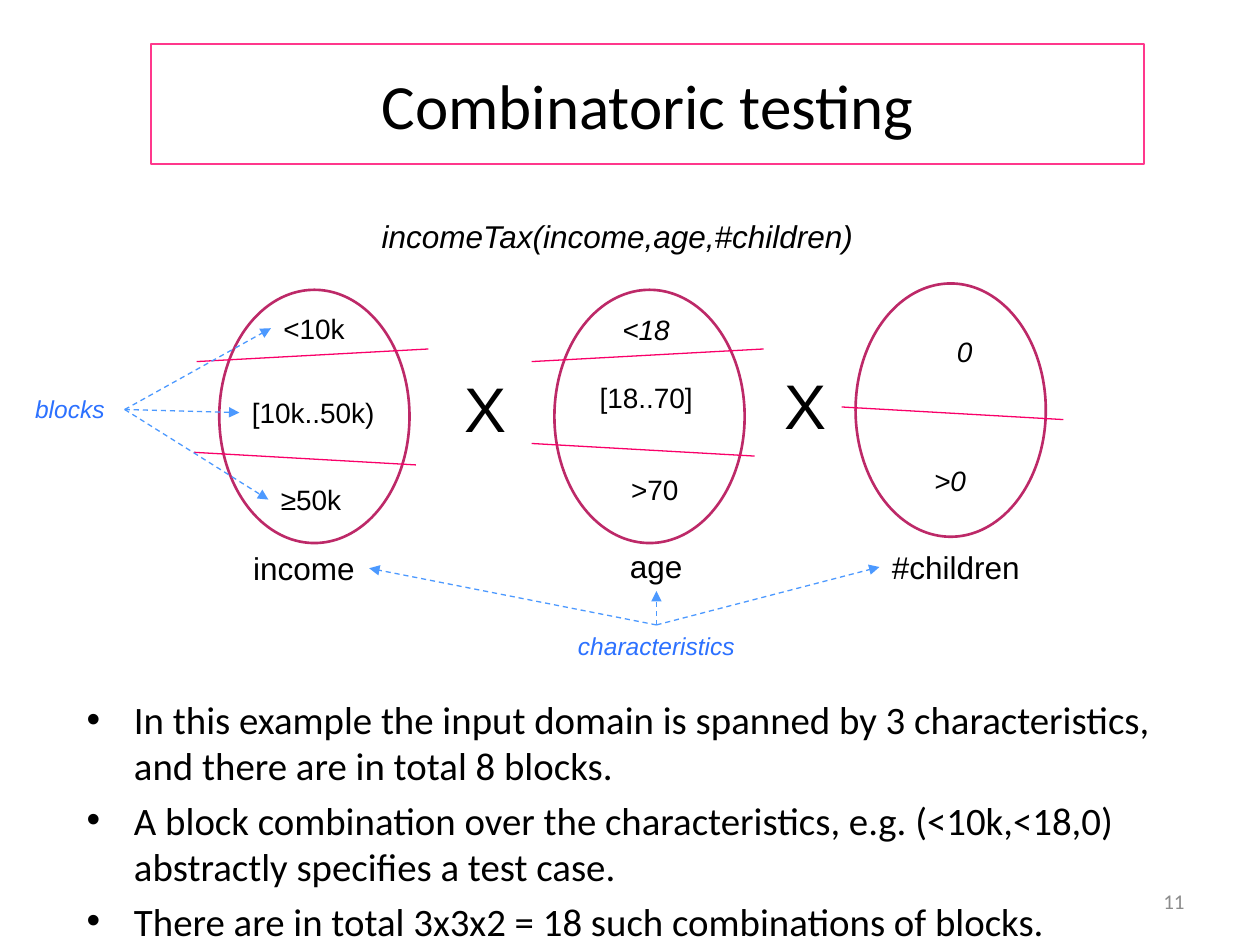
from collections import namedtuple
from dataclasses import dataclass

from lxml.etree import SubElement
from pptx import Presentation
from pptx.dml.color import RGBColor
from pptx.enum.dml import MSO_LINE
from pptx.enum.shapes import MSO_CONNECTOR, MSO_SHAPE
from pptx.enum.text import MSO_ANCHOR, MSO_AUTO_SIZE, PP_ALIGN
from pptx.oxml.ns import qn
from pptx.util import Pt

Box = namedtuple("Box", "left top width height")
Block = namedtuple("Block", "text left top width italic centred", defaults=(False, False))
Characteristic = namedtuple("Characteristic", "name box name_box cuts blocks")

TOP, LEFT, BOTTOM, RIGHT = range(4)


@dataclass(frozen=True)
class Theme:
    sans: str = "Arial"
    body: str = "Calibri"
    ink: str = "000000"
    muted: str = "8C8C8C"
    frame: str = "FF388C"
    oval: str = "BD2968"
    cut: str = "F90069"
    note: str = "2C71FF"
    arrow: str = "4C99FF"
    title_size: float = 36
    bullet_size: float = 22.2
    name_size: float = 18
    block_size: float = 16
    note_size: float = 14
    number_size: float = 12


THEME = Theme()

OVAL_SIZE = (108.72, 144.72)
FIRST_CUT = (-12.96, 41.04, 119.52, 33.84)
CHARACTERISTICS = [
    Characteristic(
        "income", Box(125.28, 165.6, *OVAL_SIZE), Box(12.24, 144.72, 73.44, 28.8),
        [FIRST_CUT, (-14.4, 92.88, 112.32, 100.08)],
        [Block("<10k", 29.52, 8.64, 49.68),
         Block("[10k..50k)", 11.52, 56.88, 85.68),
         Block("≥50k", 28.08, 106.56, 49.68)]),
    Characteristic(
        "age", Box(316.8, 165.6, *OVAL_SIZE), Box(36, 143.28, 44.64, 28.8),
        [FIRST_CUT, (-12.96, 87.84, 114.48, 95.04)],
        [Block("<18", 31.68, 9.36, 41.76, italic=True),
         Block("[18..70]", 18.72, 48.24, 68.4),
         Block(">70", 36.72, 100.8, 41.76)]),
    Characteristic(
        "#children", Box(488.88, 162, *OVAL_SIZE), Box(13.68, 147.6, 88.56, 28.8),
        [(-7.92, 70.56, 118.8, 77.76)],
        [Block("0", 45.36, 25.92, 33.84, italic=True, centred=True),
         Block(">0", 2.88, 99.36, 102.24, italic=True, centred=True)]),
]
BULLETS = [
    "In this example the input domain is spanned by 3 characteristics, and there are in total 8 blocks.",
    "A block combination over the characteristics, e.g. (<10k,<18,0) abstractly specifies a test case.",
    "There are in total 3x3x2 = 18 such combinations of blocks.",
]


def points(values):
    return [Pt(value) for value in values]


def add_span(para, text, size, font=THEME.sans, color=THEME.ink, italic=False):
    span = para.add_run()
    span.text = text
    span.font.name = font
    span.font.size = Pt(size)
    span.font.italic = italic
    span.font.color.rgb = RGBColor.from_string(color)


def add_label(page, box, text, size, color=THEME.ink, italic=False, centred=False):
    label = page.shapes.add_textbox(*points(box))
    frame = label.text_frame
    frame.word_wrap = centred
    frame.auto_size = MSO_AUTO_SIZE.SHAPE_TO_FIT_TEXT
    para = frame.paragraphs[0]
    para.alignment = PP_ALIGN.CENTER if centred else PP_ALIGN.LEFT
    add_span(para, text, size, color=color, italic=italic)
    return label


def add_line(page, ends, color):
    line = page.shapes.add_connector(MSO_CONNECTOR.STRAIGHT, *points(ends))
    line.line.color.rgb = RGBColor.from_string(color)
    line.line.width = Pt(0.75)
    SubElement(line._element.spPr, qn("a:effectLst"))
    return line


def add_arrow(page, source, source_side, target, target_side):
    arrow = add_line(page, (0, 0, 0, 0), THEME.arrow)
    arrow.begin_connect(source, source_side)
    arrow.end_connect(target, target_side)
    arrow.line.dash_style = MSO_LINE.DASH
    SubElement(arrow.line._get_or_add_ln(), qn("a:tailEnd"), type="triangle")


def add_title(page, box, text):
    title = page.shapes.title
    title.left, title.top, title.width, title.height = points(box)
    title.line.color.rgb = RGBColor.from_string(THEME.frame)
    title.line.width = Pt(1)
    title.text_frame.vertical_anchor = MSO_ANCHOR.MIDDLE
    para = title.text_frame.paragraphs[0]
    para.alignment = PP_ALIGN.CENTER
    add_span(para, text, THEME.title_size, THEME.body)


def add_characteristic(page, item):
    left, top = item.box.left, item.box.top
    oval = page.shapes.add_shape(MSO_SHAPE.OVAL, *points(item.box))
    oval.shadow.inherit = False
    oval.fill.background()
    oval.line.color.rgb = RGBColor.from_string(THEME.oval)
    oval.line.width = Pt(1.5)
    for x1, y1, x2, y2 in item.cuts:
        add_line(page, (left + x1, top + y1, left + x2, top + y2), THEME.cut)
    block_labels = [
        add_label(page, Box(left + block.left, top + block.top, block.width, 26.64),
                  block.text, THEME.block_size,
                  italic=block.italic, centred=block.centred)
        for block in item.blocks
    ]
    name_box = item.name_box._replace(left=left + item.name_box.left,
                                      top=top + item.name_box.top)
    return add_label(page, name_box, item.name, THEME.name_size), block_labels


def add_callout(page, box, text, source_side, targets):
    note = add_label(page, box, text, THEME.note_size, THEME.note, italic=True, centred=True)
    for target, target_side in targets:
        add_arrow(page, note, source_side, target, target_side)


def add_bullets(page, box, texts):
    frame = page.shapes.add_textbox(*points(box)).text_frame
    frame.word_wrap = True
    for index, text in enumerate(texts):
        para = frame.paragraphs[0] if index == 0 else frame.add_paragraph()
        para.space_before = Pt(4.4 if index else 0)
        properties = para._p.get_or_add_pPr()
        properties.set("marL", str(Pt(27)))
        properties.set("indent", str(Pt(-27)))
        SubElement(properties, qn("a:buFont"), typeface=THEME.sans)
        SubElement(properties, qn("a:buChar"), char="•")
        add_span(para, text, THEME.bullet_size, THEME.body)


def add_page_number(page, box, number):
    frame = page.shapes.add_textbox(*points(box)).text_frame
    frame.word_wrap = True
    frame.vertical_anchor = MSO_ANCHOR.MIDDLE
    para = frame.paragraphs[0]
    para.alignment = PP_ALIGN.RIGHT
    add_span(para, number, THEME.number_size, THEME.body, THEME.muted)


def main():
    deck = Presentation()
    deck.slide_width, deck.slide_height = Pt(720), Pt(540)
    page = deck.slides.add_slide(deck.slide_layouts[5])

    add_title(page, Box(86.4, 25.2, 567.36, 68.4), "Combinatoric testing")
    add_bullets(page, Box(42.48, 393.84, 652.32, 127.44), BULLETS)
    add_page_number(page, Box(516.24, 500.4, 167.76, 28.8), "11")
    add_label(page, Box(210.96, 120.24, 286.56, 28.8),
              "incomeTax(income,age,#children)", THEME.name_size, italic=True)

    parts = [add_characteristic(page, item) for item in CHARACTERISTICS]
    for left, top in ((258.48, 207.36), (441.36, 205.92)):
        add_label(page, Box(left, top, 33.12, 51.12), "X", THEME.title_size)

    income, age, children = [name for name, _ in parts]
    income_blocks = parts[0][1]
    add_callout(page, Box(308.88, 357.12, 132.48, 24.48), "characteristics", TOP,
                [(age, BOTTOM), (children, LEFT), (income, RIGHT)])
    add_callout(page, Box(8.64, 221.76, 62.64, 24.48), "blocks", RIGHT,
                [(block, LEFT) for block in income_blocks])

    deck.save("out.pptx")


if __name__ == "__main__":
    main()
